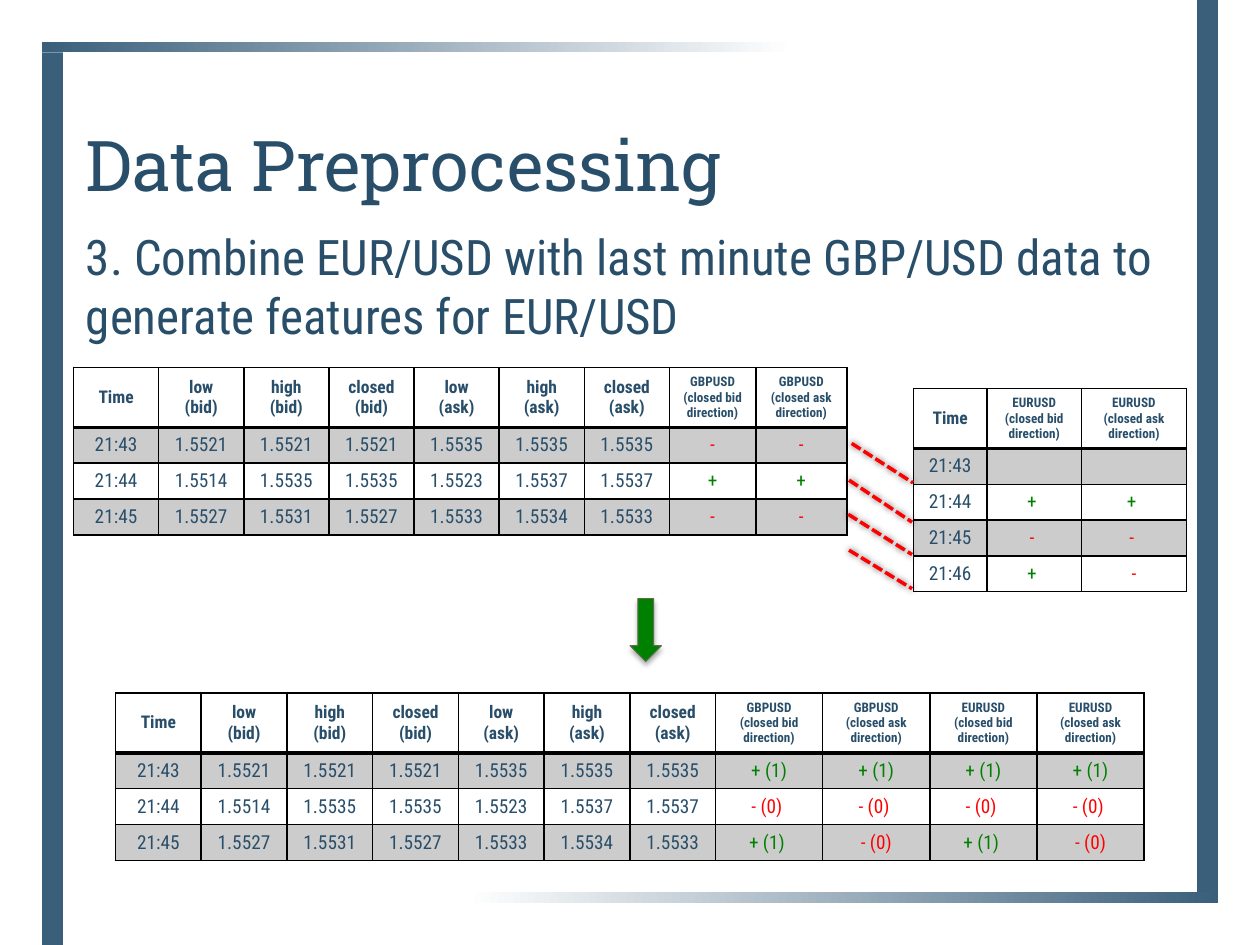
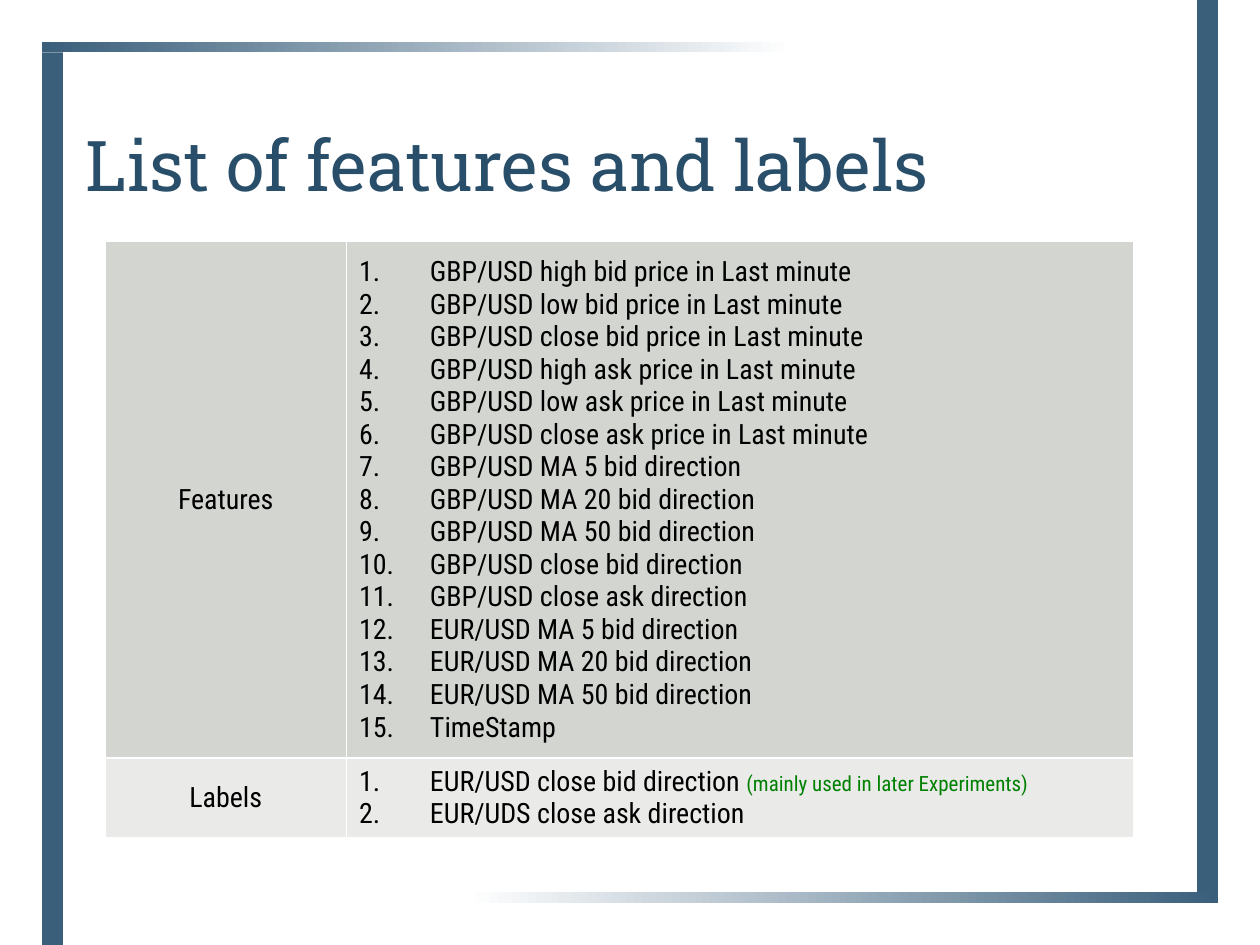
from lxml import etree
from pptx import Presentation, util as u
from pptx.dml.color import RGBColor
from pptx.enum import dml, shapes, text
from pptx.oxml.ns import qn

Pt = u.Pt
BODY, SLAB = "Roboto Condensed", "Roboto Slab"
NAVY, BAND, RED, GREEN = "284E6A", "3A5F7B", "FF0000", "008000"
BLACK, WHITE, GREY = "000000", "FFFFFF", "CCCCCC"

PRICE_HEADS = ["Time"] + [f"{level}\n({side})" for side in ("bid", "ask")
                          for level in ("low", "high", "closed")]
PRICES = [
    ["21:43", "1.5521", "1.5521", "1.5521", "1.5535", "1.5535", "1.5535"],
    ["21:44", "1.5514", "1.5535", "1.5535", "1.5523", "1.5537", "1.5537"],
    ["21:45", "1.5527", "1.5531", "1.5527", "1.5533", "1.5534", "1.5533"],
]
GBP_DIRECTIONS = [["-", "-"], ["+", "+"], ["-", "-"]]
EUR_ROWS = [["21:43", "", ""], ["21:44", "+ ", "+ "],
            ["21:45", "- ", "- "], ["21:46", "+ ", "-"]]
COMBINED = [["+ (1)"] * 4, ["- (0) "] * 4,
            ["+ (1) ", "- (0)", "+ (1) ", "- (0)"]]
FEATURES = (
    [f"GBP/USD {level} {side} price in Last minute"
     for side in ("bid", "ask") for level in ("high", "low", "close")]
    + [f"GBP/USD MA {n} bid direction" for n in (5, 20, 50)]
    + [f"GBP/USD close {side} direction" for side in ("bid", "ask")]
    + [f"EUR/USD MA {n} bid direction" for n in (5, 20, 50)]
    + ["TimeStamp"])
LABELS = ["EUR/USD close bid direction ", "EUR/UDS close ask direction"]
LABEL_NOTE = "(mainly used in later Experiments)"


def rgb(value):
    return RGBColor.from_string(value)


def format_run(r, size, color, font=BODY, bold=False):
    r.font.size, r.font.name, r.font.bold = Pt(size), font, bold
    r.font.color.rgb = rgb(color)


def format_frame(tf, size, color, font=BODY, bold=False, align=None):
    for p in tf.paragraphs:
        p.alignment = align
        for r in p.runs:
            format_run(r, size, color, font, bold)
        if not p.runs:  # keeps an empty cell as low as its row
            etree.SubElement(p._p, qn("a:endParaRPr"), sz=str(int(size * 100)))


def add_shadow(sp, alpha, blur, dist=0, angle=0):
    pr = sp._element.spPr
    for old in pr.findall(qn("a:effectLst")):
        pr.remove(old)
    effects = etree.SubElement(pr, qn("a:effectLst"))
    shadow = etree.SubElement(effects, qn("a:outerShdw"), blurRad=str(Pt(blur)),
                              dist=str(Pt(dist)), dir=str(angle * 60000),
                              rotWithShape="0")
    color = etree.SubElement(shadow, qn("a:srgbClr"), val=BLACK)
    etree.SubElement(color, qn("a:alpha"), val=str(alpha * 1000))


def add_text(s, box, content, size, font, anchor):
    tf = s.shapes.add_textbox(*map(Pt, box)).text_frame
    tf.word_wrap, tf.vertical_anchor = True, anchor
    tf.text = content
    format_frame(tf, size, NAVY, font)


# Frame and title shared by the slides
def add_bar(s, box, angle=None):
    sp = s.shapes.add_shape(shapes.MSO_SHAPE.RECTANGLE, *map(Pt, box))
    sp.shadow.inherit = False
    sp.line.fill.background()
    if angle is None:
        sp.fill.solid()
        sp.fill.fore_color.rgb = rgb(BAND)
        return
    sp.fill.gradient()
    sp.fill.gradient_angle = angle
    for stop, color, position in zip(sp.fill.gradient_stops, (BAND, WHITE), (0, 0.65)):
        stop.color.rgb, stop.position = rgb(color), position


def new_slide(prs, title):
    s = prs.slides.add_slide(prs.slide_layouts[6])
    s.background.fill.solid()
    s.background.fill.fore_color.rgb = rgb(WHITE)
    add_bar(s, (684, 0, 12, 510))
    add_bar(s, (24, 30, 12, 510))
    add_bar(s, (36, 510, 660, 6), 180)
    add_bar(s, (24, 24, 660, 6), 0)
    add_text(s, (42, 36, 636, 85), title, 40, SLAB, text.MSO_ANCHOR.BOTTOM)
    return s


# Tables
def set_borders(cell, color, top=1, bottom=1):
    pr = cell._tc.get_or_add_tcPr()
    for side, width in (("L", 1), ("R", 1), ("T", top), ("B", bottom)):
        ln = etree.SubElement(pr, qn(f"a:ln{side}"), w=str(Pt(width)))
        fill = etree.SubElement(ln, qn("a:solidFill"))
        etree.SubElement(fill, qn("a:srgbClr"), val=color)


def new_table(s, left, top, widths, heights):
    table = s.shapes.add_table(len(heights), len(widths), Pt(left), Pt(top),
                               Pt(sum(widths)), Pt(sum(heights))).table
    table.first_row = table.horz_banding = False
    for column, width in zip(table.columns, widths):
        column.width = Pt(width)
    for row, height in zip(table.rows, heights):
        row.height = Pt(height)
    return table


def fill_cell(cell, color):
    cell.vertical_anchor = text.MSO_ANCHOR.MIDDLE
    if color:
        cell.fill.solid()
        cell.fill.fore_color.rgb = rgb(color)
    else:
        cell.fill.background()


def direction_heads(pair):
    return [f"{pair}\n(closed {side} direction)" for side in ("bid", "ask")]


def add_price_table(s, left, top, widths, heads, rows):
    table = new_table(s, left, top, widths, [33.6] + [20] * len(rows))
    for i, values in enumerate([heads] + rows):
        for j, value in enumerate(values):
            cell = table.cell(i, j)
            set_borders(cell, BLACK, 2 if i == 1 else 1, 2 if i == 0 else 1)
            fill_cell(cell, GREY if i % 2 else None)
            cell.text_frame.text = value
            if i == 0:
                size, color = (7.5 if "direction" in value else 10), NAVY
            else:
                size, color = 11, {"+": GREEN, "-": RED}.get(value[:1], NAVY)
            format_frame(cell.text_frame, size, color, bold=i == 0,
                         align=text.PP_ALIGN.CENTER)


def add_numbered_list(tf, items):
    tf.text = "\n".join(items)
    format_frame(tf, 16, BLACK)
    for p in tf.paragraphs:
        pr = p._p.get_or_add_pPr()
        pr.set("marL", str(Pt(40.5)))
        pr.set("indent", str(-Pt(40.5)))
        etree.SubElement(pr, qn("a:buFont"), typeface="+mj-lt")
        etree.SubElement(pr, qn("a:buAutoNum"), type="arabicPeriod")


def add_list_table(s, left, top):
    table = new_table(s, left, top, [138, 450], [285.6, 44])
    groups = (("Features", FEATURES, "D3D5D0"), ("Labels", LABELS, "EAEBE9"))
    for i, (name, items, color) in enumerate(groups):
        for j in range(2):
            set_borders(table.cell(i, j), WHITE)
            fill_cell(table.cell(i, j), color)
        tf = table.cell(i, 0).text_frame
        tf.text = name
        format_frame(tf, 16, BLACK, align=text.PP_ALIGN.CENTER)
        add_numbered_list(table.cell(i, 1).text_frame, items)
    r = table.cell(1, 1).text_frame.paragraphs[0].add_run()
    r.text = LABEL_NOTE
    format_run(r, 12, GREEN)


# Links between the tables
def add_time_links(s, left, top):
    for x1, y1, x2, y2 in ((2, 0, 37, 22.5), (0.5, 21, 36.5, 45),
                           (0, 40.5, 36.5, 63.5), (0.5, 61, 36.5, 83)):
        line = s.shapes.add_connector(shapes.MSO_CONNECTOR.STRAIGHT,
                                      Pt(left + x1), Pt(top + y1),
                                      Pt(left + x2), Pt(top + y2))
        line.line.color.rgb = rgb(RED)
        line.line.width = Pt(2)
        line.line.dash_style = dml.MSO_LINE.SQUARE_DOT
        add_shadow(line, 64, 4)


def add_down_arrow(s, box):
    sp = s.shapes.add_shape(shapes.MSO_SHAPE.DOWN_ARROW, *map(Pt, box))
    sp.fill.solid()
    sp.fill.fore_color.rgb = rgb(GREEN)
    sp.line.color.rgb = rgb("626D4A")
    sp.line.width = Pt(0.5)
    add_shadow(sp, 35, 3.1, 2, 90)


def preprocessing_slide(prs):
    s = new_slide(prs, "Data Preprocessing")
    add_text(s, (42, 126, 636, 348),
             "3. Combine EUR/USD with last minute GBP/USD data to generate "
             "features for EUR/USD", 28, BODY, text.MSO_ANCHOR.TOP)
    gbp, eur = direction_heads("GBPUSD"), direction_heads("EURUSD")
    add_price_table(s, 42, 210, [48.65] * 7 + [49.4, 52], PRICE_HEADS + gbp,
                    [a + b for a, b in zip(PRICES, GBP_DIRECTIONS)])
    add_price_table(s, 522, 222, [42, 54, 60], ["Time"] + eur, EUR_ROWS)
    add_time_links(s, 484.7, 253.4)
    add_price_table(s, 66, 396, [49] * 7 + [61.25] * 4, PRICE_HEADS + gbp + eur,
                    [a + b for a, b in zip(PRICES, COMBINED)])
    add_down_arrow(s, (360, 342, 18, 36))


def features_slide(prs):
    s = new_slide(prs, "List of features and labels")
    add_list_table(s, 60, 138)


def main():
    prs = Presentation()
    prs.slide_width, prs.slide_height = Pt(720), Pt(540)
    preprocessing_slide(prs)
    features_slide(prs)
    prs.save("out.pptx")


if __name__ == "__main__":
    main()
